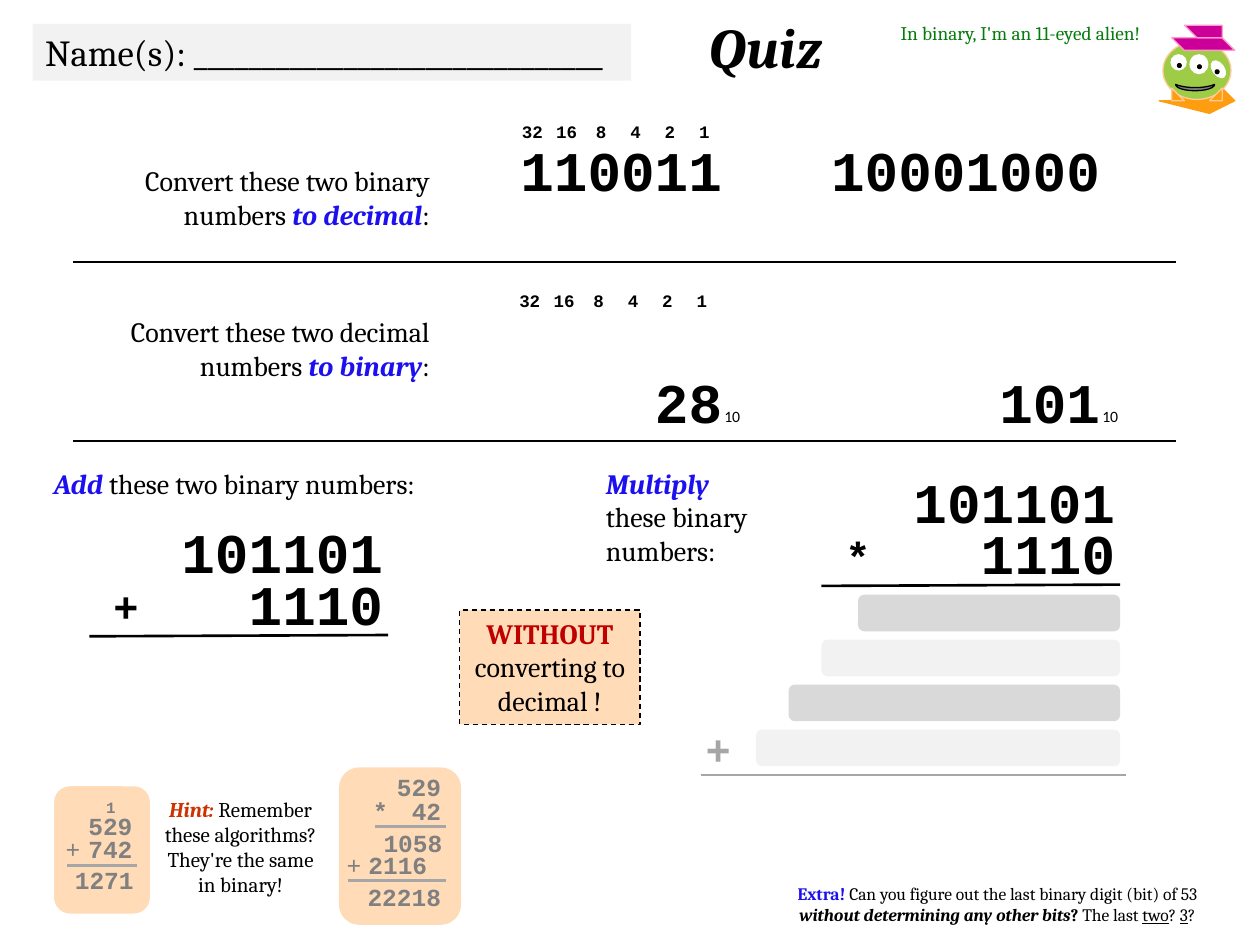
from lxml import etree
from pptx import Presentation, util as u
from pptx.dml.color import RGBColor
from pptx.enum import dml, shapes as kinds, text as txt
from pptx.oxml.ns import qn

WIDTH, HEIGHT = u.Inches(10), u.Inches(7.5)
COL, ROW = WIDTH // 100, HEIGHT // 75
LEFT, CENTER, RIGHT = txt.PP_ALIGN.LEFT, txt.PP_ALIGN.CENTER, txt.PP_ALIGN.RIGHT
RECT, ROUND = kinds.MSO_SHAPE.RECTANGLE, kinds.MSO_SHAPE.ROUNDED_RECTANGLE
OVAL, MOON = kinds.MSO_SHAPE.OVAL, kinds.MSO_SHAPE.MOON
SERIF, MONO, SANS = "Cambria", "Courier New", "Calibri"
C = {"ink": "000000", "paper": "FFFFFF", "blue": "1C10EF", "green": "067B0E",
     "red": "C00000", "hint": "CC3300", "peach": "FFDBB7", "digit": "808080",
     "rule": "A6A6A6", "dark": "D9D9D9", "pale": "F2F2F2", "skin": "9ECC46",
     "skin_edge": "FFCC99", "foot": "FD9D0F", "hat": "CC0099", "hat_edge": "FF99CC"}

FEET = [(2.8, 5), (4.9, 5.2), (5.6, 6.1), (4, 6.6), (.4, 6.5), (0, 6.3), (0, 6.1),
        (.5, 5.8), (1.1, 5.4), (1.5, 5.3), (2, 5)]
BRIM = [(2.8, .6), (1.6, .6), (1.3, 1.2), (1.6, 1.7), (2.4, 1.9), (3.4, 2.2),
        (4.7, 2.3), (5.5, 2.2), (5.8, 1.8), (5.6, 1.6), (5.1, 1.2)]
CROWN = [(2.9, 1), (2.5, .7), (2.2, .3), (2.6, 0), (3.9, .1), (4.8, .5), (5.3, .7),
         (5.3, .9), (4.2, 1.2), (3.6, 1.4)]
LEFT_TOE = [(.7, 5.7), (.8, 5.3), (1.2, 5.3), (1.7, 5.5), (1.8, 5.9), (2.2, 6.1)]
RIGHT_TOE = [(5.1, 5.8), (5, 5.4), (4.6, 5.4), (4.1, 5.5), (4, 6), (3.6, 6.2)]


def color(name):
    """Return the named colour."""
    return RGBColor.from_string(C[name])


def paint(shape, fill, edge=None):
    """Give a shape its fill and outline, without shadow."""
    shape.shadow.inherit = False
    shape.fill.solid()
    shape.fill.fore_color.rgb = color(fill)
    if edge:
        shape.line.color.rgb = color(edge)
        shape.line.width = u.Pt(.75)
    else:
        shape.line.fill.background()
    return shape


class Region:
    """A part of the slide whose grid starts at its own corner."""

    def __init__(self, shapes, left, top):
        """Keep the shapes and the corner in columns and rows."""
        self.shapes, self.left, self.top = shapes, left, top

    def spot(self, x, y):
        """Turn a grid point of the region into slide lengths."""
        return round((self.left + x) * COL), round((self.top + y) * ROW)

    def panel(self, x, y, w, h, fill, kind=RECT, edge=None, turn=0):
        """Add a filled preset shape."""
        shape = self.shapes.add_shape(kind, *self.spot(x, y), round(w * COL), round(h * ROW))
        shape.rotation = turn
        return paint(shape, fill, edge)

    def outline(self, points, fill, edge):
        """Add a closed freeform."""
        corners = [(self.left + x, self.top + y) for x, y in points]
        builder = self.shapes.build_freeform(*corners[0], scale=COL)
        builder.add_line_segments(corners[1:])
        paint(builder.convert_to_shape(), fill, edge)

    def rule(self, x1, y1, x2, y2, ink="ink", weight=1.5):
        """Add a straight line."""
        line = self.shapes.add_connector(
            kinds.MSO_CONNECTOR.STRAIGHT, *self.spot(x1, y1), *self.spot(x2, y2))
        line.line.color.rgb = color(ink)
        line.line.width = u.Pt(weight)
        etree.SubElement(line._element.spPr, qn("a:effectLst"))

    def say(self, x, y, w, h, runs, size, align=LEFT, font=SERIF, wrap=True):
        """Add a text box."""
        box = self.shapes.add_textbox(*self.spot(x, y), round(w * COL), round(h * ROW))
        write(box, runs, size, align, font, wrap)

    def number(self, right, y, w, h, digits, size, ink="ink"):
        """Add a bold number that ends at the given column."""
        self.say(right - w, y, w, h, [(digits, ink, "b")], size, RIGHT, MONO)

    def mark(self, x, y, w, h, sign, size, ink="ink", style="b"):
        """Add a short centred sign or digit."""
        self.say(x, y, w, h, [(sign, ink, style)], size, CENTER, MONO, False)


def write(shape, runs, size, align=LEFT, font=SERIF, wrap=True):
    """Write runs of (text, colour, style letters) into a shape."""
    frame = shape.text_frame
    frame.word_wrap = wrap
    frame.vertical_anchor = txt.MSO_ANCHOR.TOP
    paragraph = frame.paragraphs[0]
    paragraph.alignment = align
    for words, ink, style in runs:
        run = paragraph.add_run()
        run.text = words
        run.font.size, run.font.name = u.Pt(size), font
        run.font.color.rgb = color(ink)
        run.font.bold, run.font.italic = "b" in style, "i" in style
        run.font.underline = "u" in style


def header(shapes, left, top):
    """Place the name field, the title and the alien's remark."""
    area = Region(shapes, left, top)
    field = area.panel(0, 1.4, 47.5, 4.5, "pale")
    write(field, [("Name(s): " + "_" * 30, "ink", "")], 21, wrap=False)
    area.say(48.2, 0, 20, 6.4, [("Quiz", "ink", "bi")], 32, CENTER)
    area.say(66.3, .7, 24.2, 2.9, [("In binary, I'm an 11-eyed alien!", "green", "")], 11, CENTER)


def alien(shapes, left, top):
    """Draw the three-eyed alien with its hat."""
    area = Region(shapes.add_group_shape().shapes, left, top)
    area.outline(FEET, "foot", "foot")
    area.panel(.2, 1.3, 5.4, 4.6, "skin", OVAL, "skin_edge")
    for x, y, w, h, turn in ((.8, 2.3, 1.3, 1.3, 327), (2.3, 2.3, 1.5, 1.6, 0),
                             (4.1, 2.7, 1, 1.6, 325)):
        area.panel(x, y, w, h, "paper", OVAL, turn=turn)
    for x, y in ((1.3, 3), (2.9, 3.1), (4.3, 3.5)):
        area.panel(x, y, .4, .4, "ink", OVAL)
    area.panel(2.5, 3.4, .5, 3.1, "digit", MOON, "ink", 270)
    for points, fill, edge in ((BRIM, "hat", "hat_edge"), (CROWN, "hat", "hat_edge"),
                               (LEFT_TOE, "foot", "skin_edge"), (RIGHT_TOE, "foot", "skin_edge")):
        area.outline(points, fill, edge)


def place_values(shapes, left, top):
    """Place the powers of two in equal steps."""
    area = Region(shapes, left, top)
    for step in range(6):
        area.mark(2.73 * step, 0, 3.7, 2.7, str(2 ** (5 - step)), 10)


def conversion(shapes, left, top, source, target, prompt_y, numbers, numbers_y, rule_y):
    """Place a conversion task and the rule below it."""
    area = Region(shapes, left, top)
    prompt = [(f"Convert these two {source} numbers ", "ink", ""),
              (f"to {target}", "blue", "bi"), (":", "ink", "")]
    area.say(0, prompt_y, 29.3, 6.4, prompt, 16, RIGHT)
    for right, digits in zip((52.5, 82.5), numbers):
        area.number(right, numbers_y, 25.8, 6.3, digits, 32)
        if source == "decimal":
            area.say(right - 1.8, numbers_y + 3.1, 3.4, 2.5, [("10", "ink", "")], 9, font=SANS)
    area.rule(0, rule_y, 87.5, rule_y, weight=.75)


def big_sum(shapes, left, top, sign):
    """Place the two binary numbers of a written sum."""
    area = Region(shapes, left, top)
    area.number(24.3, 0, 21.7, 6.3, "101101", 32)
    area.number(24.3, 4.1, 16.7, 6.3, "1110", 32)
    area.mark(.9, 5, 4, 5, sign, 24)
    area.rule(0, 9.9, 23.7, 9.8)


def addition(shapes, left, top):
    """Place the addition task."""
    area = Region(shapes, left, top)
    area.say(0, 0, 35.1, 3.7, [("Add ", "blue", "bi"),
                               ("these two binary numbers:", "ink", "")], 16)
    big_sum(shapes, left + 3.8, top + 4.1, "+")


def multiplication(shapes, left, top):
    """Place the multiplication task and its answer bars."""
    area = Region(shapes, left, top)
    area.say(0, 0, 14.3, 9.1, [("Multiply", "blue", "bi"),
                               (" these binary numbers:", "ink", "")], 16)
    big_sum(shapes, left + 18.1, top + .1, "*")
    for row, start in enumerate((21, 18.1, 15.5, 12.9)):
        area.panel(start, 10.7 + 3.57 * row, 41.8 - start, 2.9,
                   ("dark", "pale")[row % 2], ROUND)
    area.rule(8.5, 25, 42.3, 25, "rule")
    area.mark(7.9, 20.4, 4, 5, "+", 24, "rule")


def worked_sum(shapes, left, top, w, h, numbers, signs, rules):
    """Place a decimal example on its rounded panel."""
    area = Region(shapes, left, top)
    area.panel(0, 0, w, h, "peach", ROUND)
    for right, y, digits in numbers:
        area.number(right, y, 8.1, 3.3, digits, 14, "digit")
    for x, y, sign, style in signs:
        area.mark(x, y, 3.2, 3.3, sign, 14, "digit", style)
    for x1, x2, y in rules:
        area.rule(x1, y, x2, y, "rule")


def hints(shapes, left, top):
    """Place the hint between its two worked examples."""
    area = Region(shapes, left, top)
    worked_sum(shapes, left, top + 1.5, 7.6, 10.1,
               [(7.2, 1.5, "529"), (7.2, 3.3, "742"), (7.3, 5.8, "1271")],
               [(-.1, 3.3, "+", "")], [(1, 6.6, 6.3)])
    area.mark(3.1, 1.9, 2.8, 2.5, "1", 9, "digit")
    area.say(7.3, 1.8, 15, 9.1, [("Hint: ", "hint", "bi"), (
        "Remember these algorithms? They're the same in binary!", "ink", "")], 12, CENTER)
    worked_sum(shapes, left + 22.6, top, 9.7, 12.5,
               [(9.1, -.1, "529"), (9.1, 1.8, "42"), (9.2, 4.3, "1058"),
                (8, 6.1, "2116"), (9.1, 8.6, "22218")],
               [(1.7, 1.8, "*", "b"), (-.4, 6.1, "+", "")],
               [(2.9, 8.5, 4.7), (.7, 8.5, 9)])


def notes(shapes, left, top):
    """Place the dashed warning and the extra question."""
    area = Region(shapes, left, top)
    warning = area.panel(0, 0, 14.3, 9.1, "peach", edge="ink")
    warning.line.dash_style = dml.MSO_LINE.DASH
    write(warning, [("WITHOUT ", "red", "b"), ("converting to decimal !", "ink", "")], 16, CENTER)
    extra = area.panel(22.9, 21.2, 39.5, 4.4, "paper")
    extra.text_frame.margin_left = extra.text_frame.margin_right = 2 * COL
    write(extra, [("Extra! ", "blue", "b"),
                  ("Can you figure out the last binary digit (bit) of 53 ", "ink", ""),
                  ("without determining any other bits", "ink", "bi"), ("? ", "ink", "b"),
                  ("The last ", "ink", ""), ("two", "ink", "u"), ("? ", "ink", ""),
                  ("3", "ink", "u"), ("?", "ink", "")], 10, CENTER)


def main():
    """Build the quiz slide."""
    deck = Presentation()
    deck.slide_width, deck.slide_height = WIDTH, HEIGHT
    shapes = deck.slides.add_slide(deck.slide_layouts[6]).shapes
    header(shapes, 2.6, .5)
    alien(shapes, 92.1, 2)
    place_values(shapes, 40.4, 9.1)
    conversion(shapes, 5.8, 9.1, "binary", "decimal", 3.4, ("110011", "10001000"), 1.2, 11.7)
    place_values(shapes, 40.2, 22.5)
    conversion(shapes, 5.8, 22.5, "decimal", "binary", 2, ("28", "101"), 6.2, 12.5)
    addition(shapes, 3.3, 36.5)
    multiplication(shapes, 47.1, 36.5)
    hints(shapes, 4.3, 60.9)
    notes(shapes, 36.5, 48.4)
    deck.save("out.pptx")


if __name__ == "__main__":
    main()
